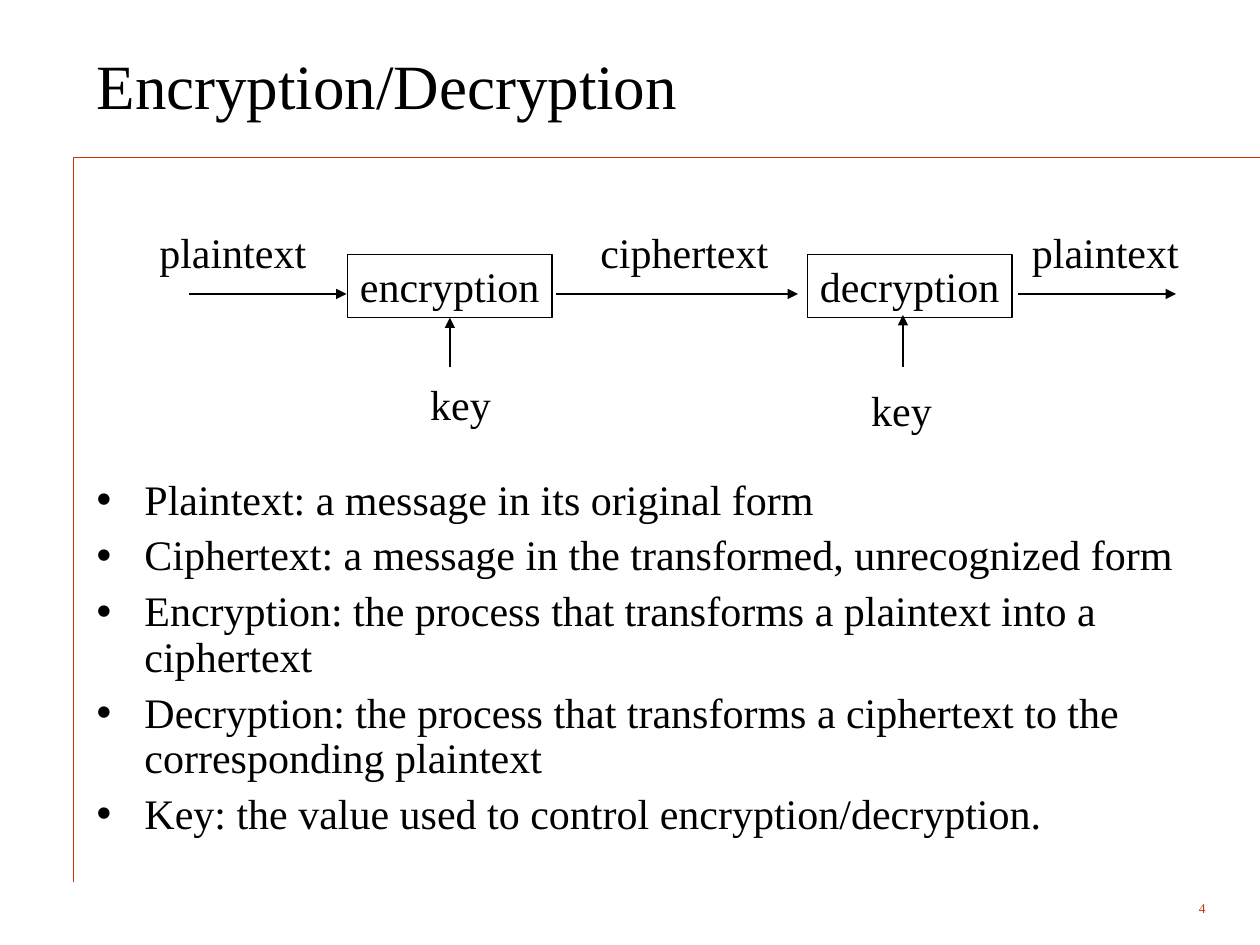
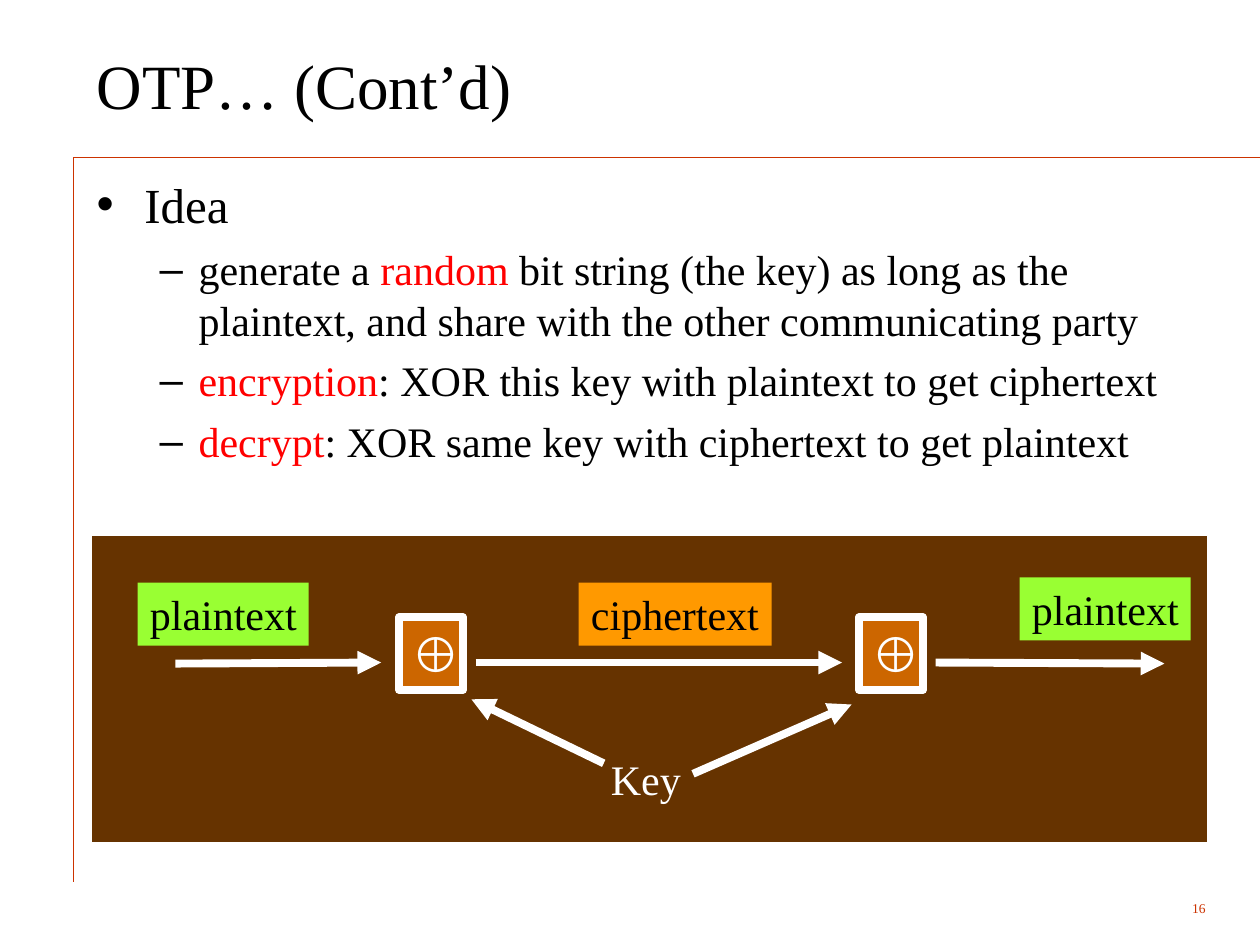
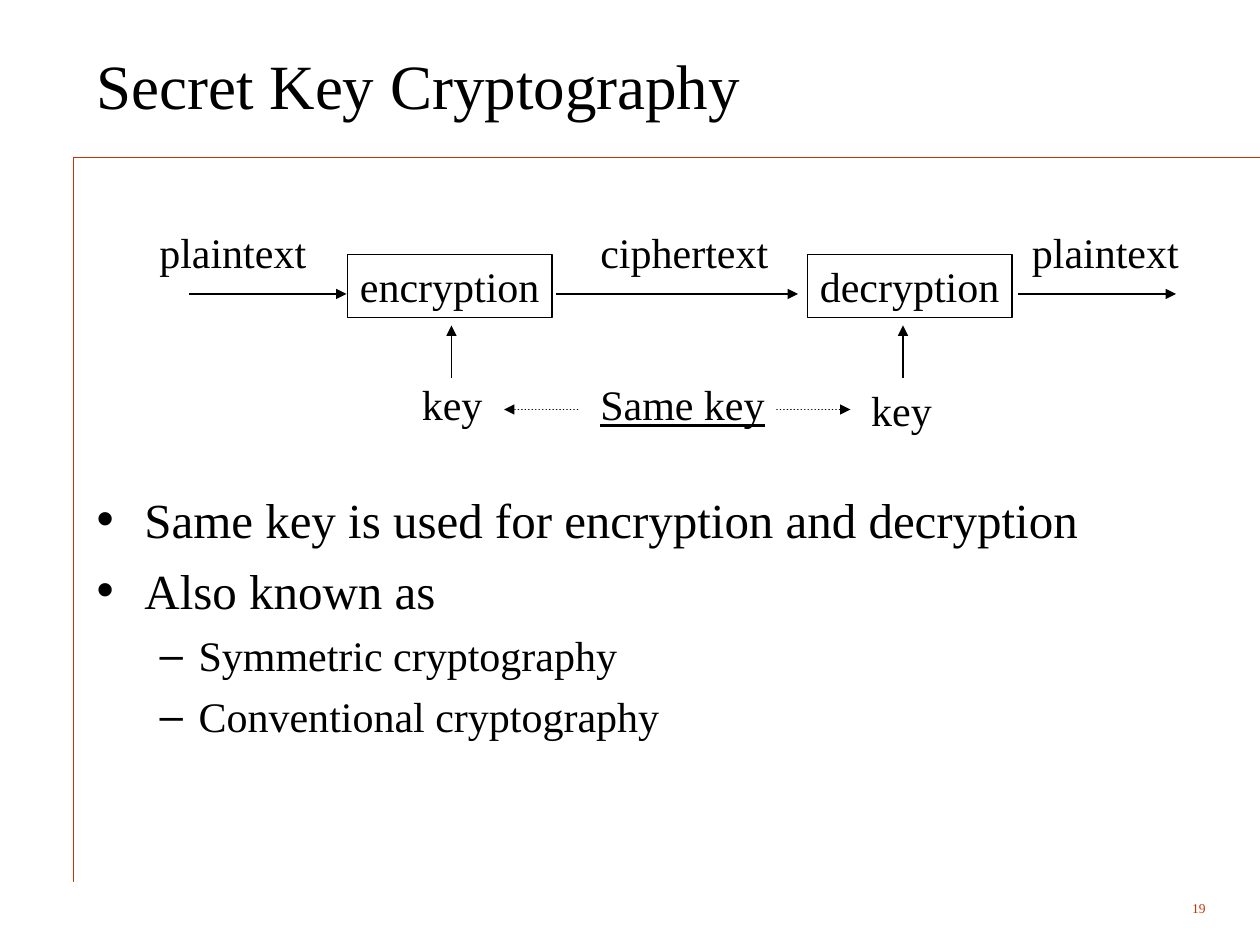
from dataclasses import dataclass

from lxml.etree import SubElement
from pptx import Presentation
from pptx.dml.color import RGBColor
from pptx.enum.dml import MSO_LINE
from pptx.enum.shapes import MSO_CONNECTOR, MSO_SHAPE
from pptx.enum.text import MSO_ANCHOR, MSO_AUTO_SIZE, PP_ALIGN
from pptx.oxml.ns import qn
from pptx.util import Emu, Inches, Pt

# Shared style: the slide is a grid of 120 columns by 90 rows
WIDTH, HEIGHT = Inches(10), Inches(7.5)
COLUMNS, ROWS = 120, 90
COLORS = {
    "text": "000000", "accent": "CC3300", "highlight": "FF0000",
    "white": "FFFFFF", "panel": "663300", "plain": "99FF33",
    "cipher": "FF9900", "xor": "CC6600",
}
SERIF, SANS = "Times New Roman", "Arial"
BOTTOM = 2


@dataclass
class Box:
    text: str
    left: float
    top: float
    width: float
    height: float = 6
    fill: str = ""
    line: str = ""
    weight: float = 1
    color: str = "text"
    size: float = 24
    face: str = SERIF
    bold: bool = False
    underline: bool = False


@dataclass
class Arrow:
    start: tuple[float, float]
    end: tuple[float, float]
    color: str = "text"
    weight: float = 1
    dotted: bool = False
    head: bool = True


@dataclass
class Item:
    text: str
    level: int = 0
    highlight: str = ""


@dataclass
class Level:
    bullet: str
    size: float
    before: float
    margin: float
    hanging: float


LEVELS = [Level("•", 28, 7, 0.38, 0.38), Level("–", 24, 6, 0.81, 0.31)]
COMPACT_LEVELS = [Level("•", 24, 6, 0.38, 0.38)]


def x(column: float) -> Emu:
    return Emu(round(WIDTH * column / COLUMNS))


def y(row: float) -> Emu:
    return Emu(round(HEIGHT * row / ROWS))


def rgb(name: str) -> RGBColor:
    return RGBColor.from_string(COLORS[name])


def style_font(font, size: float, color: str = "text", face: str = SERIF) -> None:
    font.size, font.name = Pt(size), face
    font.color.rgb = rgb(color)


def place(shape, left: float, top: float, width: float, height: float) -> None:
    shape.left, shape.top = x(left), y(top)
    shape.width, shape.height = x(width), y(height)


def draw_box(shapes, box: Box):
    area = x(box.left), y(box.top), x(box.width), y(box.height)
    if box.fill or box.line:
        drawn = shapes.add_shape(MSO_SHAPE.RECTANGLE, *area)
        drawn.shadow.inherit = False
        if box.fill:
            drawn.fill.solid()
            drawn.fill.fore_color.rgb = rgb(box.fill)
        else:
            drawn.fill.background()
        if box.line:
            drawn.line.color.rgb = rgb(box.line)
            drawn.line.width = Pt(box.weight)
        else:
            drawn.line.fill.background()
    else:
        drawn = shapes.add_textbox(*area)
    if box.text:
        frame = drawn.text_frame
        frame.text = box.text
        # A free right margin keeps each label on one line
        frame.word_wrap = True
        frame.margin_right = 0
        frame.auto_size = MSO_AUTO_SIZE.NONE
        frame.vertical_anchor = MSO_ANCHOR.TOP
        paragraph = frame.paragraphs[0]
        paragraph.alignment = PP_ALIGN.LEFT
        font = paragraph.runs[0].font
        style_font(font, box.size, box.color, box.face)
        font.bold, font.underline = box.bold, box.underline
    return drawn


def draw_arrow(shapes, arrow: Arrow):
    (x1, y1), (x2, y2) = arrow.start, arrow.end
    drawn = shapes.add_connector(MSO_CONNECTOR.STRAIGHT, x(x1), y(y1), x(x2), y(y2))
    drawn.line.color.rgb = rgb(arrow.color)
    drawn.line.width = Pt(arrow.weight)
    properties = drawn.element.spPr
    outline = properties.find(qn("a:ln"))
    if arrow.dotted:
        drawn.line.dash_style = MSO_LINE.ROUND_DOT
        outline.set("cap", "rnd")
    if arrow.head:
        SubElement(outline, qn("a:tailEnd"), type="triangle")
    SubElement(properties, qn("a:effectLst"))
    return drawn


def set_bullet(paragraph, level: Level) -> None:
    properties = paragraph._p.get_or_add_pPr()
    properties.set("marL", str(Inches(level.margin)))
    properties.set("indent", str(-Inches(level.hanging)))
    color = SubElement(properties, qn("a:buClr"))
    SubElement(color, qn("a:srgbClr"), val=COLORS["text"])
    SubElement(properties, qn("a:buFont"), typeface=SANS)
    SubElement(properties, qn("a:buChar"), char=level.bullet)


def fill_list(body, items: list[Item], levels: list[Level], spacing: float) -> None:
    frame = body.text_frame
    frame.auto_size = MSO_AUTO_SIZE.NONE
    for index, item in enumerate(items):
        paragraph = frame.add_paragraph() if index else frame.paragraphs[0]
        level = levels[item.level]
        paragraph.level = item.level
        set_bullet(paragraph, level)
        paragraph.line_spacing = spacing
        paragraph.space_before = Pt(level.before if index else 0)
        pieces = item.text.partition(item.highlight) if item.highlight else [item.text]
        for piece in filter(None, pieces):
            run = paragraph.add_run()
            run.text = piece
            marked = piece == item.highlight
            style_font(run.font, level.size, "highlight" if marked else "text")


def add_page(deck, title: str, number: int, items: list[Item],
             area: tuple[float, float, float, float],
             levels: list[Level] = LEVELS, spacing: float = 1.0):
    """Add a slide with its title, list, rules and page number."""
    slide = deck.slides.add_slide(deck.slide_layouts[1])
    for end, weight in (((COLUMNS, 15), 0.25), ((7, 84), 0.75)):
        draw_arrow(slide.shapes, Arrow((7, 15), end, "accent", weight, head=False))

    heading = slide.shapes.title
    place(heading, 8, 2, 108.1, 12)
    heading.text_frame.text = title
    heading.text_frame.vertical_anchor = MSO_ANCHOR.MIDDLE
    heading.text_frame.auto_size = MSO_AUTO_SIZE.NONE
    heading.text_frame.paragraphs[0].alignment = PP_ALIGN.LEFT
    style_font(heading.text_frame.paragraphs[0].runs[0].font, 36)

    body = slide.placeholders[1]
    place(body, *area)
    fill_list(body, items, levels, spacing)

    page = slide.shapes.add_textbox(x(106), y(85), x(10), y(3))
    page.text_frame.text = str(number)
    page.text_frame.word_wrap = True
    page.text_frame.vertical_anchor = MSO_ANCHOR.MIDDLE
    page.text_frame.paragraphs[0].alignment = PP_ALIGN.RIGHT
    style_font(page.text_frame.paragraphs[0].runs[0].font, 7.7, "accent")
    return slide


def draw_cipher_flow(shapes, key_left: float):
    """Draw plaintext to ciphertext and back; return the encryption box."""
    encryption = draw_box(shapes, Box("encryption", 33.1, 24.25, 19.5, line="text"))
    for box in (
        Box("decryption", 76.9, 24.25, 19.5, line="text"),
        Box("plaintext", 14, 21, 16.3),
        Box("ciphertext", 56, 21, 18.4),
        Box("plaintext", 97.1, 21, 16.3),
        Box("key", key_left, 35.5, 8.2),
        Box("key", 81.8, 36, 8.2),
    ):
        draw_box(shapes, box)
    for start, end in ((18, 33), (53, 76), (97, 112)):
        draw_arrow(shapes, Arrow((start, 28), (end, 28)))
    return encryption


def add_definitions(deck) -> None:
    items = [
        Item("Plaintext: a message in its original form"),
        Item("Ciphertext: a message in the transformed, unrecognized form"),
        Item("Encryption: the process that transforms a plaintext into a ciphertext"),
        Item("Decryption: the process that transforms a ciphertext to the "
             "corresponding plaintext"),
        Item("Key: the value used to control encryption/decryption."),
    ]
    slide = add_page(deck, "Encryption/Decryption", 4, items, (8, 45, 108.4, 36),
                     COMPACT_LEVELS, 0.9)
    encryption = draw_cipher_flow(slide.shapes, 39.8)
    encryption_key = draw_arrow(slide.shapes, Arrow((42.85, 35), (42.85, 30.25)))
    encryption_key.end_connect(encryption, BOTTOM)
    draw_arrow(slide.shapes, Arrow((86, 35), (86, 30)))


def add_one_time_pad(deck) -> None:
    items = [
        Item("Idea"),
        Item("generate a random bit string (the key) as long as the plaintext, "
             "and share with the other communicating party", 1, "random"),
        Item("encryption: XOR this key with plaintext to get ciphertext", 1, "encryption"),
        Item("decrypt: XOR same key with ciphertext to get plaintext", 1, "decrypt"),
    ]
    slide = add_page(deck, "OTP… (Cont’d)", 16, items, (8, 16, 107.3, 32))
    diagram = slide.shapes.add_group_shape().shapes
    draw_box(diagram, Box("", 8.7, 51, 106.3, 29.3, fill="panel", line="white"))

    # Messages, XOR steps and the shared key
    for box in (
        Box("plaintext", 13.1, 55.5, 16.3, fill="plain"),
        Box("ciphertext", 55.1, 55.5, 18.4, fill="cipher"),
        Box("plaintext", 97.1, 55, 16.3, fill="plain"),
        Box("Key", 57, 71.2, 9, color="white"),
    ):
        draw_box(diagram, box)
    for left in (38, 81.8):
        draw_box(diagram, Box("⊕", left, 58.8, 6.1, 6.9, "xor", "white", 4.5,
                              "white", 28, SANS, bold=True))
    for start, end in (
        ((16.7, 63.2), (36.3, 63.1)),
        ((45.3, 63.1), (80.2, 63.1)),
        ((89.1, 63.1), (110.9, 63.2)),
        ((57.5, 72.7), (44.9, 66.6)),
        ((66, 73.7), (81.1, 67.1)),
    ):
        draw_arrow(diagram, Arrow(start, end, "white", 4.5))


def add_secret_key(deck) -> None:
    items = [
        Item("Same key is used for encryption and decryption"),
        Item("Also known as"),
        Item("Symmetric cryptography", 1),
        Item("Conventional cryptography", 1),
    ]
    slide = add_page(deck, "Secret Key Cryptography", 19, items, (8, 46, 108.4, 35))
    draw_cipher_flow(slide.shapes, 39)
    for column in (43, 86):
        draw_arrow(slide.shapes, Arrow((column, 36), (column, 31)))
    draw_box(slide.shapes, Box("Same key", 56, 35.5, 18, underline=True))
    for start, end in ((55, 48), (74, 81)):
        draw_arrow(slide.shapes, Arrow((start, 39), (end, 39), dotted=True))


def main() -> None:
    deck = Presentation()
    deck.slide_width, deck.slide_height = WIDTH, HEIGHT
    add_definitions(deck)
    add_one_time_pad(deck)
    add_secret_key(deck)
    deck.save("out.pptx")


if __name__ == "__main__":
    main()
